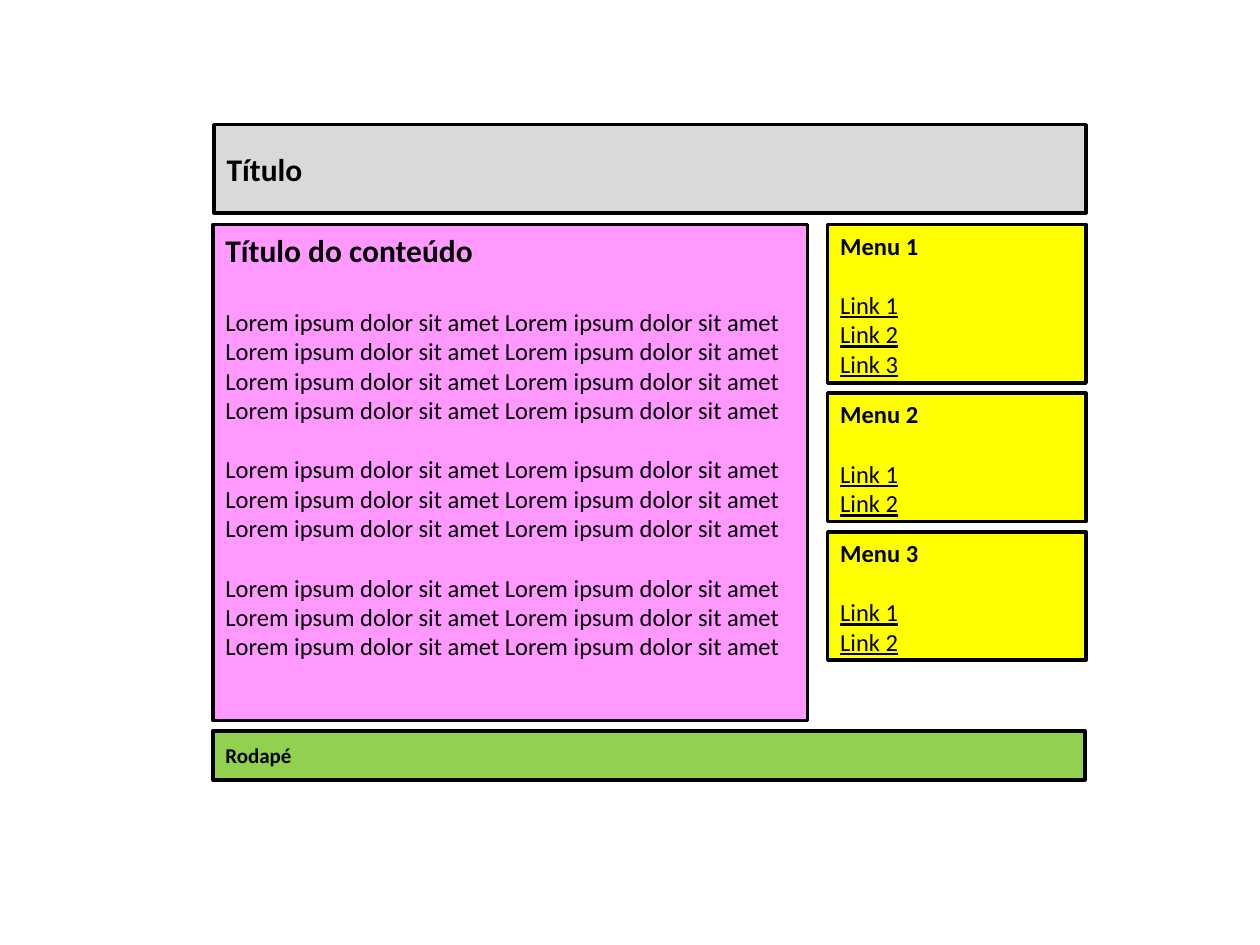
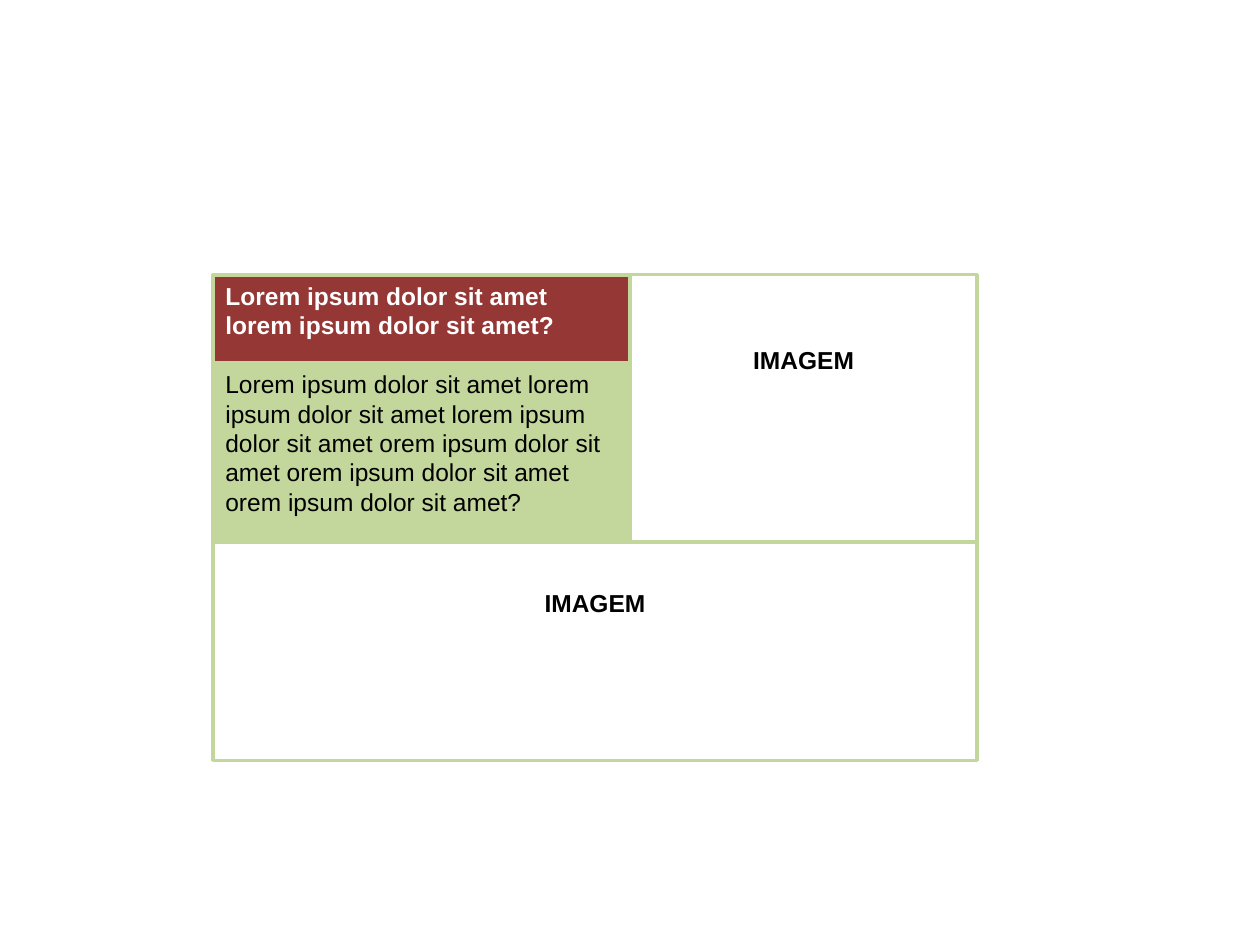
import dataclasses
import pptx
import pptx.util
import pptx.dml.color
import pptx.enum.shapes
import pptx.enum.text

Pt = pptx.util.Pt
RGB = pptx.dml.color.RGBColor.from_string
Anchor = pptx.enum.text.MSO_ANCHOR
Align = pptx.enum.text.PP_ALIGN


@dataclasses.dataclass(frozen=True)
class Theme:
    black: str = "000000"
    white: str = "FFFFFF"
    gray: str = "D9D9D9"
    yellow: str = "FFFF00"
    pink: str = "FF99FF"
    green: str = "92D050"
    red: str = "953735"
    sage: str = "C3D69B"
    page_font: str = "Calibri"
    card_font: str = "Arial"
    heading: int = 18
    body: int = 14
    footer: int = 12
    border: int = 2


theme = Theme()


def add_panel(slide, box, fill, line, frame_format):
    panel = slide.shapes.add_shape(
        pptx.enum.shapes.MSO_SHAPE.RECTANGLE, *[Pt(length) for length in box])
    panel.shadow.inherit = False
    panel.fill.solid()
    panel.fill.fore_color.rgb = RGB(fill)
    panel.line.color.rgb = RGB(line)
    panel.line.width = Pt(theme.border)
    frame = panel.text_frame
    for name, value in ({"word_wrap": True, "vertical_anchor": Anchor.TOP} | frame_format).items():
        setattr(frame, name, value)
    return frame


def add_line(frame, text, font_format, color=theme.black, align=Align.LEFT, gap=0):
    paragraph = frame.paragraphs[0]
    if paragraph.runs:
        paragraph = frame.add_paragraph()
    paragraph.alignment = align
    paragraph.space_before = Pt(gap)
    run = paragraph.add_run()
    run.text = text
    for name, value in font_format.items():
        setattr(run.font, name, value)
    run.font.color.rgb = RGB(color)


page_heading = {"name": theme.page_font, "size": Pt(theme.heading), "bold": True}
page_body = {"name": theme.page_font, "size": Pt(theme.body), "bold": False}
menu_heading = page_body | {"bold": True}
menu_link = page_body | {"underline": True}
page_footer = page_heading | {"size": Pt(theme.footer)}
card_body = {"name": theme.card_font, "size": Pt(theme.body), "bold": False}
card_heading = card_body | {"bold": True}
middle = {"vertical_anchor": Anchor.MIDDLE}

deck = pptx.Presentation()
deck.slide_width, deck.slide_height = Pt(720), Pt(540)
blank = deck.slide_layouts[6]
left = 121.7
phrase = "Lorem ipsum dolor sit amet"

page = deck.slides.add_slide(blank)
page_width, content_top, gutter = 498.2, 128.2, 5.8
blank_line, blank_heading = 17.1, 22

banner = add_panel(page, (122.4, 71.3, page_width, 50.4), theme.gray, theme.black, middle)
add_line(banner, "Título", page_heading)

content = add_panel(page, (left, content_top, 339.8, 283.7), theme.pink, theme.black, {})
add_line(content, "Título do conteúdo", page_heading)
for block, line_count in enumerate((4, 3, 3)):
    for row in range(line_count):
        gap = 0 if row else blank_line if block else blank_heading
        add_line(content, f"{phrase} {phrase}", page_body, gap=gap)

menu_top = content_top
for number, (link_count, menu_height) in enumerate(((3, 90.7), (2, 73.4), (2, 73.4)), 1):
    menu = add_panel(page, (473, menu_top, 147.6, menu_height), theme.yellow, theme.black, {})
    add_line(menu, f"Menu {number}", menu_heading)
    for link in range(1, link_count + 1):
        add_line(menu, f"Link {link}", menu_link, gap=blank_line if link == 1 else 0)
    menu_top += menu_height + gutter

footer = add_panel(page, (left, 417.6, page_width, 28.1), theme.green, theme.black, middle)
add_line(footer, "Rodapé", page_footer)

card = deck.slides.add_slide(blank)
card_top, text_width, image_width = 157, 238.3, 198.4
question_height, answer_top, image_height = 51.1, 207.4, 152.9

question = add_panel(card, (left, card_top, text_width, question_height), theme.red, theme.sage, {})
add_line(question, f"{phrase} {phrase.lower()}?", card_heading, theme.white)

answer = add_panel(card, (left, answer_top, text_width, 102.2), theme.sage, theme.sage, {})
add_line(answer, " ".join([phrase] + [phrase.lower()] * 2 + [phrase[1:]] * 3) + "?", card_body)

raised = middle | {"margin_bottom": Pt(59)}
for image_box in (
    (left + text_width, card_top, image_width, image_height),
    (left, card_top + image_height, text_width + image_width, 124.6),
):
    image = add_panel(card, image_box, theme.white, theme.sage, raised)
    add_line(image, "IMAGEM", card_heading, align=Align.CENTER)

deck.save("out.pptx")
